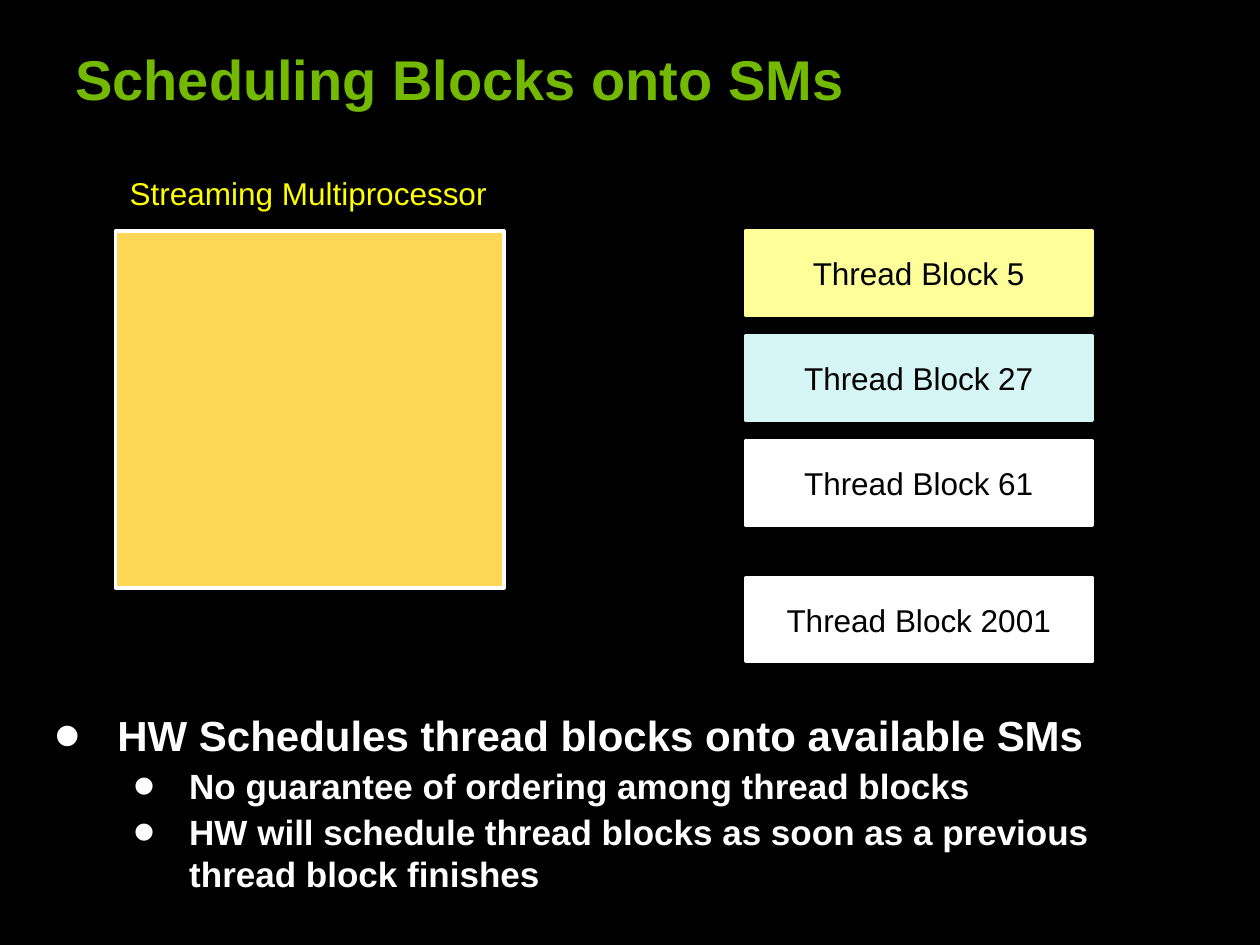
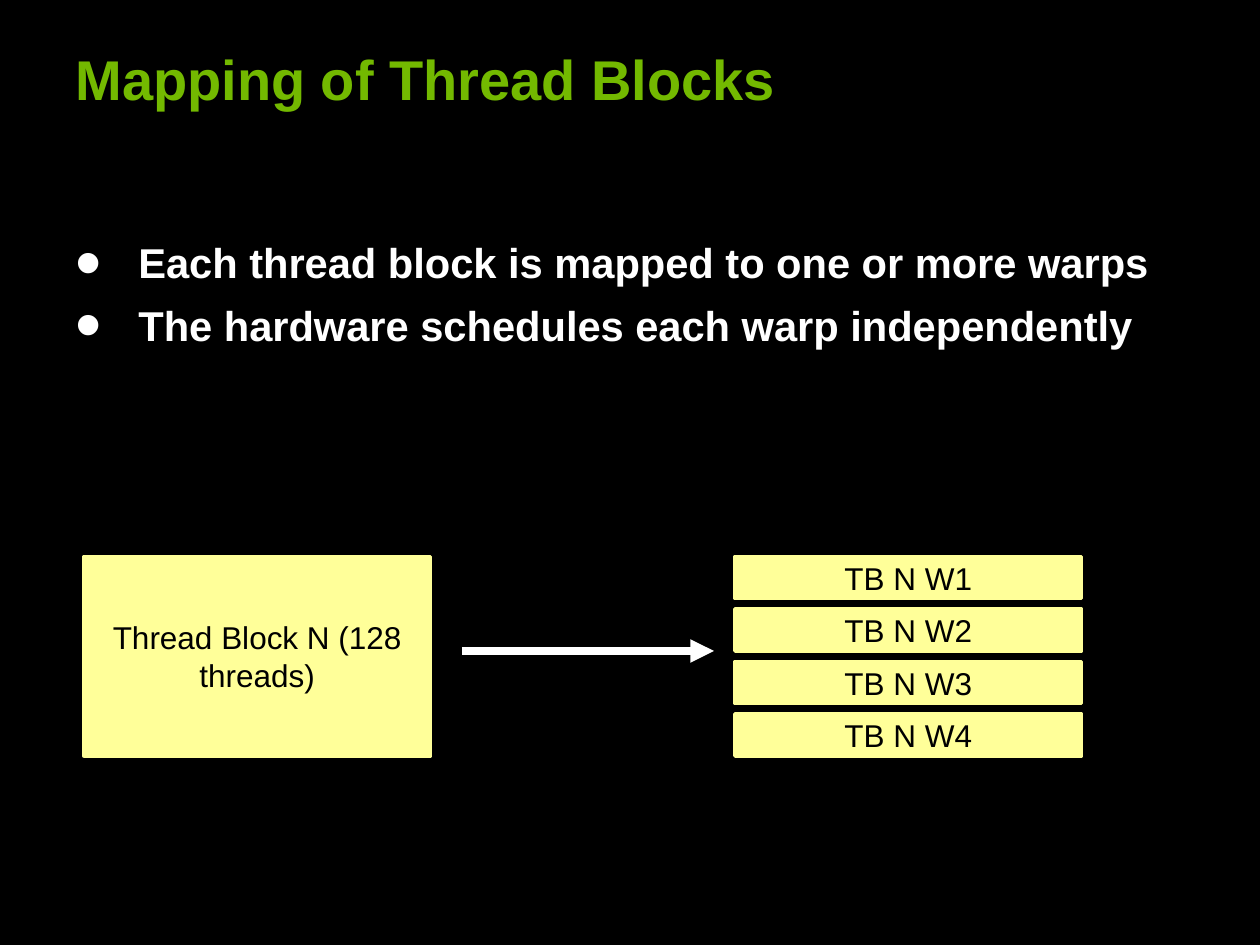
from pptx import Presentation
from pptx.dml.color import RGBColor
from pptx.enum.shapes import MSO_CONNECTOR, MSO_SHAPE
from pptx.enum.text import MSO_ANCHOR, PP_ALIGN
from pptx.oxml.ns import qn
from pptx.util import Inches, Pt
from lxml import etree

RECT = MSO_SHAPE.RECTANGLE
LINE = MSO_CONNECTOR.STRAIGHT
MIDDLE = MSO_ANCHOR.MIDDLE
LEFT, CENTER = PP_ALIGN.LEFT, PP_ALIGN.CENTER

# Grid of 120 columns by 90 rows on a 10 x 7.5 inch slide
UNIT = Inches(10) // 120
FONT = "Arial"
BLACK, WHITE, GREEN = "000000", "FFFFFF", "73B900"
GOLD, LEMON, AQUA, YELLOW = "FFD757", "FFFF99", "D6F5F5", "FFFF00"


def color(code):
    return RGBColor.from_string(code)


def grid(*cells):
    return [round(cell * UNIT) for cell in cells]


def style(para, size, code, bold=False, align=LEFT):
    para.alignment = align
    for run in para.runs:
        font = run.font
        font.name, font.size, font.bold = FONT, Pt(size), bold
        font.color.rgb = color(code)


def label(slide, box, text, size, code, bold=False, align=LEFT, wrap=True):
    frame = slide.shapes.add_textbox(*grid(*box)).text_frame
    frame.word_wrap = wrap
    frame.text = text
    style(frame.paragraphs[0], size, code, bold, align)


def block(slide, box, fill, text="", edge=None):
    shape = slide.shapes.add_shape(RECT, *grid(*box))
    shape.shadow.inherit = False
    shape.fill.solid()
    shape.fill.fore_color.rgb = color(fill)
    shape.line.color.rgb = color(edge or fill)
    shape.line.width = Pt(2)
    frame = shape.text_frame
    frame.word_wrap = True
    frame.vertical_anchor = MIDDLE
    frame.text = text
    style(frame.paragraphs[0], 18, BLACK, align=CENTER)


def bullet(para, indent, hang):
    props = para._p.get_or_add_pPr()
    props.set("marL", str(Inches(indent)))
    props.set("indent", str(-Inches(hang)))
    tint = etree.SubElement(props, qn("a:buClr"))
    etree.SubElement(tint, qn("a:srgbClr"), val=WHITE)
    etree.SubElement(props, qn("a:buSzPct"), val="180000")
    etree.SubElement(props, qn("a:buFont"), typeface=FONT)
    etree.SubElement(props, qn("a:buChar"), char="•")


def points(slide, box, items, sizes, gaps):
    """Bulleted list; items are (level, text), sizes and gaps go by level."""
    frame = slide.shapes.add_textbox(*grid(*box)).text_frame
    frame.word_wrap = True
    frame.text = "\n".join(text for _, text in items)
    for para, (level, _) in zip(frame.paragraphs, items):
        para.level = level
        para.space_before = Pt(gaps[level])
        style(para, sizes[level], WHITE, bold=True)
        bullet(para, *[(0.5, 0.5), (1.07, 0.44)][level])


def stack(slide, box, step, items):
    """Column of equal blocks; items are (row, text, fill)."""
    left, top, width, height = box
    for row, text, fill in items:
        block(slide, (left, top + row * step, width, height), fill, text)


def arrow(slide, start, end):
    link = slide.shapes.add_connector(LINE, *grid(*start, *end))
    link.line.color.rgb = color(WHITE)
    link.line.width = Pt(4.5)
    etree.SubElement(link.line._get_or_add_ln(), qn("a:tailEnd"), type="triangle")
    etree.SubElement(link._element.spPr, qn("a:effectLst"))


def page(deck, title):
    slide = deck.slides.add_slide(deck.slide_layouts[6])
    slide.background.fill.solid()
    slide.background.fill.fore_color.rgb = color(BLACK)
    label(slide, (6, 3.6, 97, 7.6), title, 32, GREEN, bold=True)
    return slide


def unit(slide, box):
    """Captioned multiprocessor."""
    left, top, width, _ = box
    block(slide, box, GOLD, edge=WHITE)
    label(slide, (left, top - 6, width - 0.3, 4.8), "Streaming Multiprocessor",
          18, YELLOW, align=CENTER, wrap=False)


def mapping(slide, box):
    """Thread block on the left, its warps on the right."""
    left, top, width, height = box
    side = 33
    right = left + width - side
    block(slide, (left, top, side, height), LEMON, "Thread Block N (128 threads)")
    stack(slide, (right, top, side, 4), 5,
          [(row, f"TB N W{row + 1}", LEMON) for row in range(4)])
    arrow(slide, (left + side + 3, top + 9), (right - 2, top + 9))


def main():
    deck = Presentation()
    deck.slide_width, deck.slide_height = grid(120, 90)

    # Scheduling
    slide = page(deck, "Scheduling Blocks onto SMs")
    unit(slide, (11, 22, 37, 34))
    stack(slide, (71, 22, 33, 8), 10, [
        (0, "Thread Block 5", LEMON),
        (1, "Thread Block 27", AQUA),
        (2, "Thread Block 61", WHITE),
        (3.3, "Thread Block 2001", WHITE),
    ])
    points(slide, (4, 67, 109, 21), [
        (0, "HW Schedules thread blocks onto available SMs"),
        (1, "No guarantee of ordering among thread blocks"),
        (1, "HW will schedule thread blocks as soon as a previous "
            "thread block finishes"),
    ], (24, 20), (3, 2.5))

    # Mapping
    slide = page(deck, "Mapping of Thread Blocks")
    points(slide, (6, 22, 108, 15), [
        (0, "Each thread block is mapped to one or more warps"),
        (0, "The hardware schedules each warp independently"),
    ], (23.8,), (7,))
    mapping(slide, (8, 53, 95, 19))

    deck.save("out.pptx")


if __name__ == "__main__":
    main()
